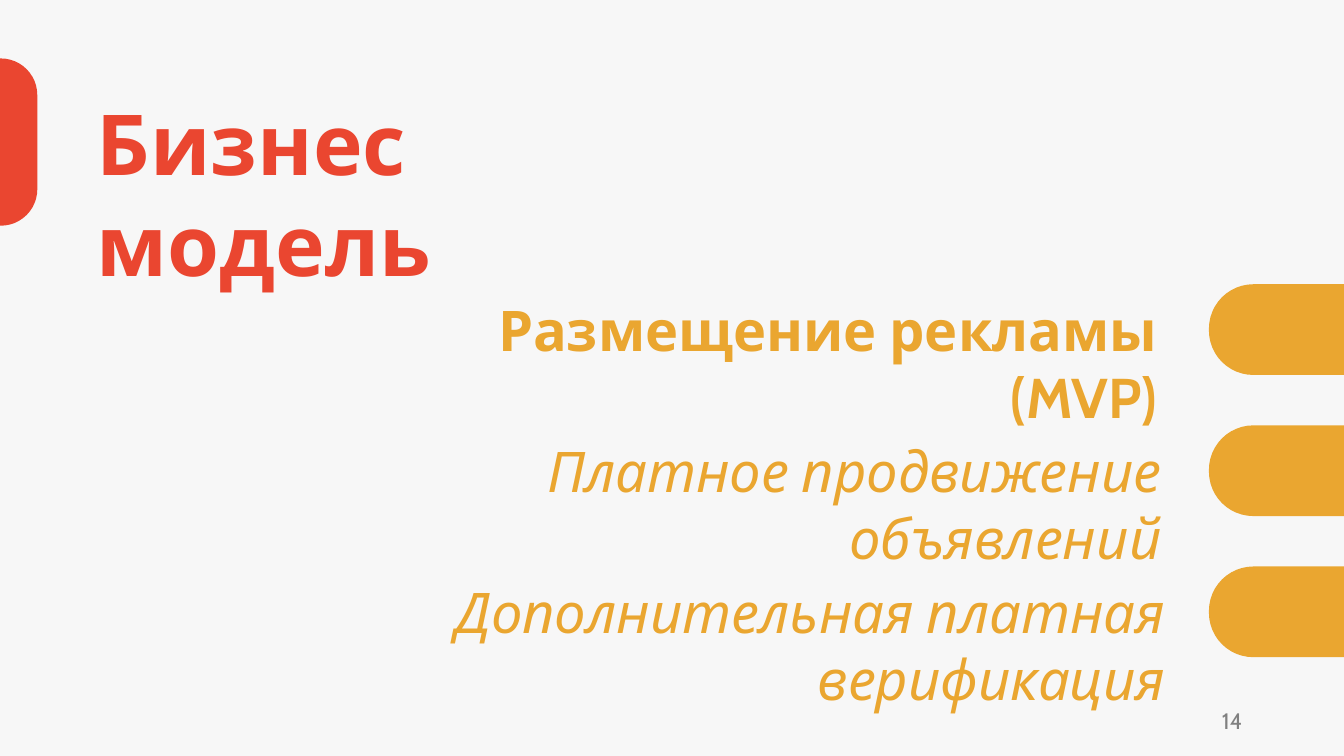
"""Build the business model slide with its three revenue sources."""
from dataclasses import dataclass

from lxml.etree import SubElement
from pptx import Presentation
from pptx.dml.color import RGBColor
from pptx.enum.shapes import MSO_SHAPE
from pptx.enum.text import MSO_ANCHOR, MSO_AUTO_SIZE, PP_ALIGN
from pptx.oxml.ns import qn
from pptx.util import Inches, Pt

COLORS = {"background": "F7F7F7", "red": "EA4630", "amber": "EAA630", "gray": "808080"}
FONT = "Cabin"
COMPARISON_LAYOUT = 4
FIRST_TAB_TOP = 2.82
TAB_PITCH = 1.4


@dataclass
class Label:
    text: str
    left: float
    top: float
    width: float
    height: float
    size: int
    color: str
    bold: bool = False
    italic: bool = False
    align: PP_ALIGN = PP_ALIGN.RIGHT
    anchor: MSO_ANCHOR = MSO_ANCHOR.TOP


@dataclass
class Tab:
    left: float
    top: float
    width: float
    height: float
    color: str


@dataclass
class Source:
    text: str
    width: float
    bold: bool = False


TITLE = Label("Бизнес модель", 0.86, 0.86, 5.92, 1.11, 60, "red",
              bold=True, align=PP_ALIGN.LEFT)
PAGE_NUMBER = Label("14", 9.42, 6.95, 3, 0.4, 16, "gray", anchor=MSO_ANCHOR.MIDDLE)
SOURCES = [
    Source("Размещение рекламы (MVP)", 7.41, bold=True),
    Source("Платное продвижение объявлений", 8.81),
    Source("Дополнительная платная верификация", 10.2),
]


def rgb(name: str) -> RGBColor:
    return RGBColor.from_string(COLORS[name])


def write_label(holder, label: Label) -> None:
    holder.left, holder.top = Inches(label.left), Inches(label.top)
    holder.width, holder.height = Inches(label.width), Inches(label.height)
    frame = holder.text_frame
    frame.word_wrap = True
    frame.auto_size = MSO_AUTO_SIZE.NONE
    frame.vertical_anchor = label.anchor
    paragraph = frame.paragraphs[0]
    properties = paragraph._p.get_or_add_pPr()
    properties.set("marL", "0")
    properties.set("indent", "0")
    SubElement(properties, qn("a:buNone"))
    paragraph.alignment = label.align
    paragraph.space_before = Pt(0)
    paragraph.line_spacing = 1.0
    run = paragraph.add_run()
    run.text = label.text
    run.font.name = FONT
    run.font.size = Pt(label.size)
    run.font.bold = label.bold
    run.font.italic = label.italic
    run.font.color.rgb = rgb(label.color)


def draw_tab(slide, tab: Tab) -> None:
    rounded = slide.shapes.add_shape(
        MSO_SHAPE.ROUNDED_RECTANGLE, Inches(tab.left), Inches(tab.top),
        Inches(tab.width), Inches(tab.height))
    rounded.adjustments[0] = 0.49
    rounded.shadow.inherit = False
    rounded.fill.solid()
    rounded.fill.fore_color.rgb = rgb(tab.color)
    rounded.line.fill.background()


def main() -> None:
    presentation = Presentation()
    presentation.slide_width, presentation.slide_height = Inches(13.33), Inches(7.5)
    slide = presentation.slides.add_slide(presentation.slide_layouts[COMPARISON_LAYOUT])
    slide.background.fill.solid()
    slide.background.fill.fore_color.rgb = rgb("background")

    title, *bodies, spare = list(slide.placeholders)
    spare.element.getparent().remove(spare.element)
    write_label(title, TITLE)
    draw_tab(slide, Tab(-0.37, 0.58, 0.74, 1.66, "red"))

    for index, (body, source) in enumerate(zip(bodies, SOURCES)):
        top = FIRST_TAB_TOP + index * TAB_PITCH
        right = 11.58 + index * 0.04
        write_label(body, Label(source.text, right - source.width, top + 0.06,
                                source.width, 0.77, 40, "amber",
                                bold=source.bold, italic=not source.bold))
        draw_tab(slide, Tab(11.99, top, 2.41, 0.9, "amber"))

    write_label(slide.shapes.add_textbox(0, 0, 0, 0), PAGE_NUMBER)
    presentation.save("out.pptx")


if __name__ == "__main__":
    main()
